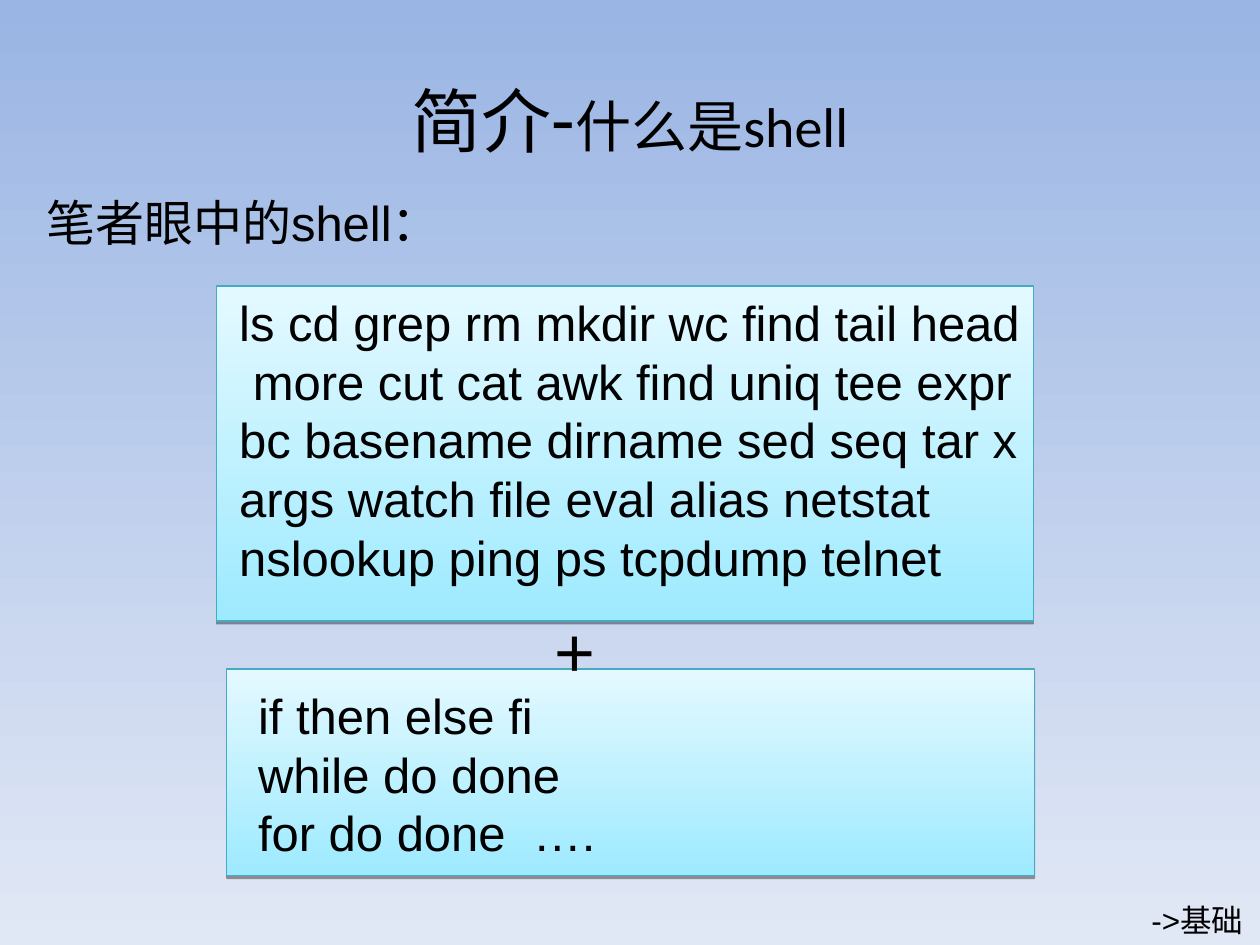
from lxml.etree import SubElement
from pptx import Presentation
from pptx.dml.color import RGBColor
from pptx.enum.shapes import MSO_SHAPE
from pptx.enum.text import MSO_ANCHOR, PP_ALIGN
from pptx.oxml.ns import qn
from pptx.util import Inches, Pt

TITLE = [("简介", 40), ("-", 44), ("什么是shell", 32)]
LEAD = "笔者眼中的shell："
TOOLS = ("ls cd grep rm mkdir wc find tail head more cut cat awk find uniq tee "
         "expr bc basename dirname sed seq tar xargs watch file eval")
MORE = " alias netstat nslookup ping ps tcpdump telnet"
LOOPS = ["if then else fi", "while do done", "for do done  …."]
NEXT = "->基础"
PANELS = [(1.72, 2.27, 6.48, 2.66), (1.8, 5.31, 6.41, 1.64)]
SKY = ("9AB5E4", "E1E8F5")
AQUA = ("9EEAFF", "E4F9FF")
NBSP = chr(160)


def color(code):
    return RGBColor.from_string(code)


def blend(fill, codes, angle):
    fill.gradient()
    fill.gradient_angle = angle
    for stop, code in zip(fill.gradient_stops, codes):
        stop.color.rgb = color(code)


def panel(slide, box):
    shape = slide.shapes.add_shape(MSO_SHAPE.RECTANGLE, *map(Inches, box))
    blend(shape.fill, AQUA, 90)
    shape.line.color.rgb = color("46AAC5")
    shape.line.width = Pt(0.75)
    shape.shadow.inherit = False
    effects = shape._element.spPr.find(qn("a:effectLst"))
    shade = SubElement(effects, qn("a:outerShdw"), blurRad="0",
                       dist=str(Pt(1.6)), dir="5400000", rotWithShape="0")
    tone = SubElement(shade, qn("a:srgbClr"), val="000000")
    SubElement(tone, qn("a:alpha"), val="38000")


def write(slide, lines, box, size=28, font="Arial", wrap=True,
          align=PP_ALIGN.LEFT, anchor=MSO_ANCHOR.TOP):
    frame = slide.shapes.add_textbox(*map(Inches, box)).text_frame
    frame.word_wrap = wrap
    frame.vertical_anchor = anchor
    for i, line in enumerate(lines):
        para = frame.add_paragraph() if i else frame.paragraphs[0]
        para.alignment = align
        for text, points in [(line, size)] if isinstance(line, str) else line:
            run = para.add_run()
            run.text = text
            run.font.size = Pt(points)
            run.font.name = font
            run.font.color.rgb = color("000000")


def main():
    deck = Presentation()
    deck.slide_width, deck.slide_height = Inches(10), Inches(7.5)
    slide = deck.slides.add_slide(deck.slide_layouts[6])
    blend(slide.background.fill, SKY, 270)
    write(slide, [TITLE], (0.5, 0.3, 9, 1.25), font="Calibri",
          align=PP_ALIGN.CENTER, anchor=MSO_ANCHOR.MIDDLE)
    write(slide, [LEAD], (0.27, 1.48, 3.51, 0.57), wrap=False)
    for box in PANELS:
        panel(slide, box)
    write(slide, [TOOLS.replace(" ", NBSP) + MORE], (1.8, 2.27, 6.48, 2.44))
    write(slide, LOOPS, (1.95, 5.39, 5, 1.5))
    write(slide, ["+"], (4.3, 4.77, 0.7, 0.77), size=40)
    write(slide, [NEXT], (9.04, 7.1, 0.99, 0.4), size=18, wrap=False)
    deck.save("out.pptx")


if __name__ == "__main__":
    main()
